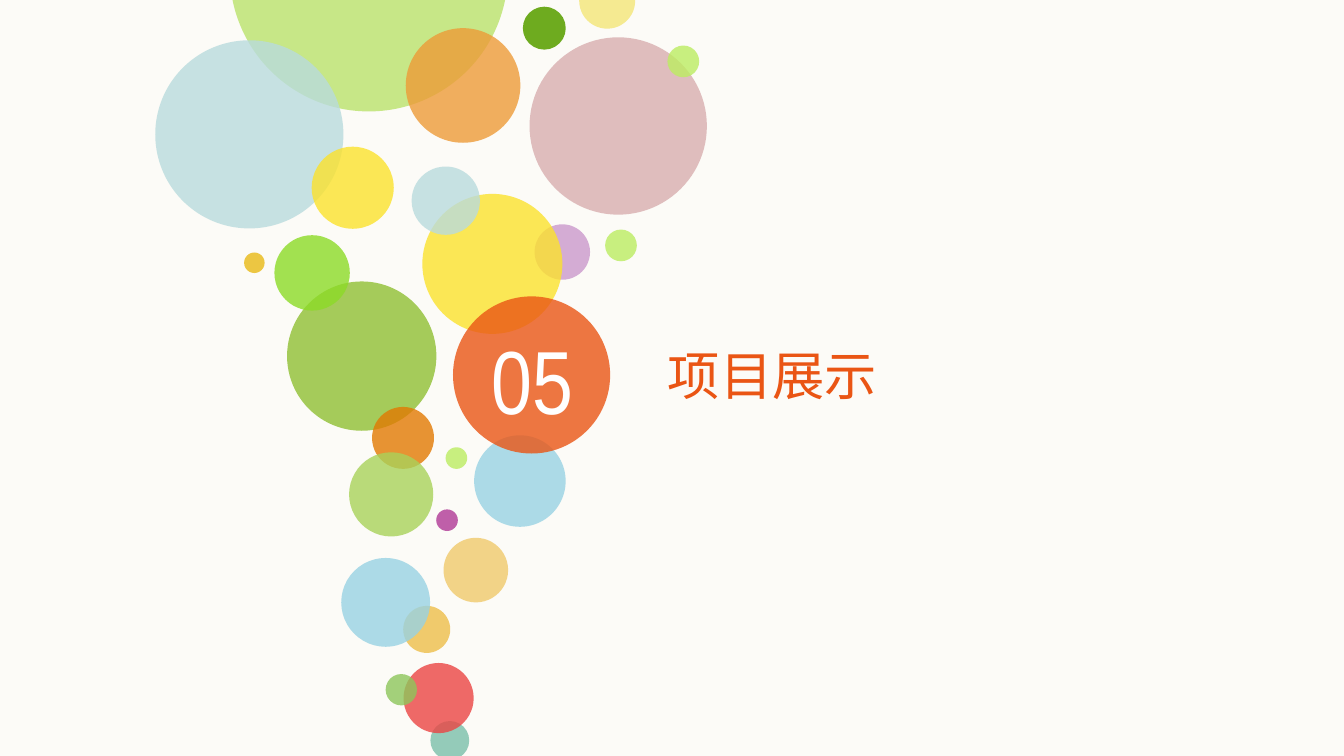
from pptx import Presentation
from pptx import util as u
from pptx.dml.color import RGBColor
from pptx.enum import shapes, text
from pptx.oxml.ns import qn
from lxml import etree

PAPER = RGBColor(0xFC, 0xFB, 0xF7)
WHITE = RGBColor(0xFF, 0xFF, 0xFF)
FLAME = RGBColor(0xEA, 0x55, 0x14)
PEAR = RGBColor(0xBA, 0xE3, 0x6B)
LEAF = RGBColor(0x6E, 0xAB, 0x1F)
MIST = RGBColor(0xB9, 0xDB, 0xDD)
PEACH = RGBColor(0xED, 0x9B, 0x38)
CREAM = RGBColor(0xF5, 0xEA, 0x91)
ROSE = RGBColor(0xD8, 0xAE, 0xAF)
MOSS = RGBColor(0xA5, 0xCB, 0x5A)
LIME = RGBColor(0xBC, 0xED, 0x61)
LILAC = RGBColor(0xCB, 0x99, 0xCC)
LEMON = RGBColor(0xFB, 0xE2, 0x2D)
GRASS = RGBColor(0x8C, 0xDB, 0x27)
GOLD = RGBColor(0xE9, 0xB9, 0x15)
PLUM = RGBColor(0xB0, 0x38, 0x96)
SAND = RGBColor(0xF0, 0xCA, 0x6C)
TEAL = RGBColor(0x7B, 0xBF, 0xAA)
CORAL = RGBColor(0xEB, 0x45, 0x44)
FERN = RGBColor(0x8D, 0xC6, 0x5B)
SKY = RGBColor(0x98, 0xD2, 0xE3)
AMBER = RGBColor(0xE2, 0x79, 0x02)
OLIVE = RGBColor(0xA9, 0xD2, 0x5A)

BUBBLES = [
    (123.1, -89.3, 149, PEAR, 80),
    (280.1, 3.6, 23, LEAF, 100),
    (83.2, 21.6, 100.8, MIST, 80),
    (217.4, 15.1, 61.4, PEACH, 80),
    (310.3, -14.6, 30, CREAM, 100),
    (283.7, 20, 95, ROSE, 80),
    (153.8, 150.8, 80, MOSS, 100),
    (357.6, 24.4, 17, LIME, 80),
    (324.2, 123, 17, LIME, 80),
    (286.4, 120.2, 29.7, LILAC, 80),
    (226.3, 103.9, 75, LEMON, 80),
    (167, 78.6, 44, LEMON, 80),
    (147, 126, 40.4, GRASS, 80),
    (130.8, 135.3, 11, GOLD, 80),
    (238.7, 239.6, 11.6, LIME, 80),
    (233.7, 272.9, 11.6, PLUM, 80),
    (237.6, 288.1, 34.6, SAND, 80),
    (216, 324.6, 25.2, SAND, 100),
    (230.6, 386.3, 20.8, TEAL, 80),
    (216.2, 355.2, 37.6, CORAL, 80),
    (206.6, 361.1, 16.8, FERN, 80),
    (182.8, 298.9, 47.6, SKY, 80),
    (220.5, 89.2, 36.6, MIST, 80),
    (254, 233.2, 49, SKY, 80),
    (199.3, 218, 33.2, AMBER, 80),
    (187, 242.3, 45.1, OLIVE, 80),
    (242.7, 158.8, 84.2, FLAME, 80),
]


def bubble(slide, x, y, size, hue, alpha):
    disc = slide.shapes.add_shape(
        shapes.MSO_SHAPE.OVAL, u.Pt(x), u.Pt(y), u.Pt(size), u.Pt(size))
    disc.shadow.inherit = False
    disc.line.fill.background()
    disc.fill.solid()
    disc.fill.fore_color.rgb = hue
    if alpha < 100:
        tint = disc.fill._xPr.find(qn("a:solidFill"))[0]
        etree.SubElement(tint, qn("a:alpha"), val=str(alpha * 1000))


def label(box, words, face, size, hue, align, anchor):
    frame = box.text_frame
    frame.word_wrap = True
    frame.auto_size = text.MSO_AUTO_SIZE.NONE
    frame.vertical_anchor = anchor
    frame.margin_left = frame.margin_right = 0
    frame.margin_top = frame.margin_bottom = 0
    frame.text = words
    para = frame.paragraphs[0]
    para.alignment = align
    para.font.name = face
    para.font.size = u.Pt(size)
    para.font.color.rgb = hue
    props = para._p.get_or_add_pPr().find(qn("a:defRPr"))
    etree.SubElement(props, qn("a:ea"), typeface=face)


def number(slide):
    box = slide.shapes.add_textbox(
        u.Pt(256.3), u.Pt(174.2), u.Pt(57.6), u.Pt(58.3))
    label(box, "05", "Arial Narrow", 48, WHITE,
          text.PP_ALIGN.CENTER, text.MSO_ANCHOR.TOP)


def heading(slide):
    box = slide.shapes.title
    box.left, box.top = u.Pt(357.8), u.Pt(183.6)
    box.width, box.height = u.Pt(218.9), u.Pt(33.8)
    label(box, "项目展示", "Noto Sans CJK SC", 28, FLAME,
          text.PP_ALIGN.LEFT, text.MSO_ANCHOR.MIDDLE)


def main():
    deck = Presentation()
    deck.slide_width, deck.slide_height = u.Pt(720), u.Pt(405)
    slide = deck.slides.add_slide(deck.slide_layouts[5])
    slide.background.fill.solid()
    slide.background.fill.fore_color.rgb = PAPER
    for item in BUBBLES:
        bubble(slide, *item)
    number(slide)
    heading(slide)
    deck.save("out.pptx")


if __name__ == "__main__":
    main()
